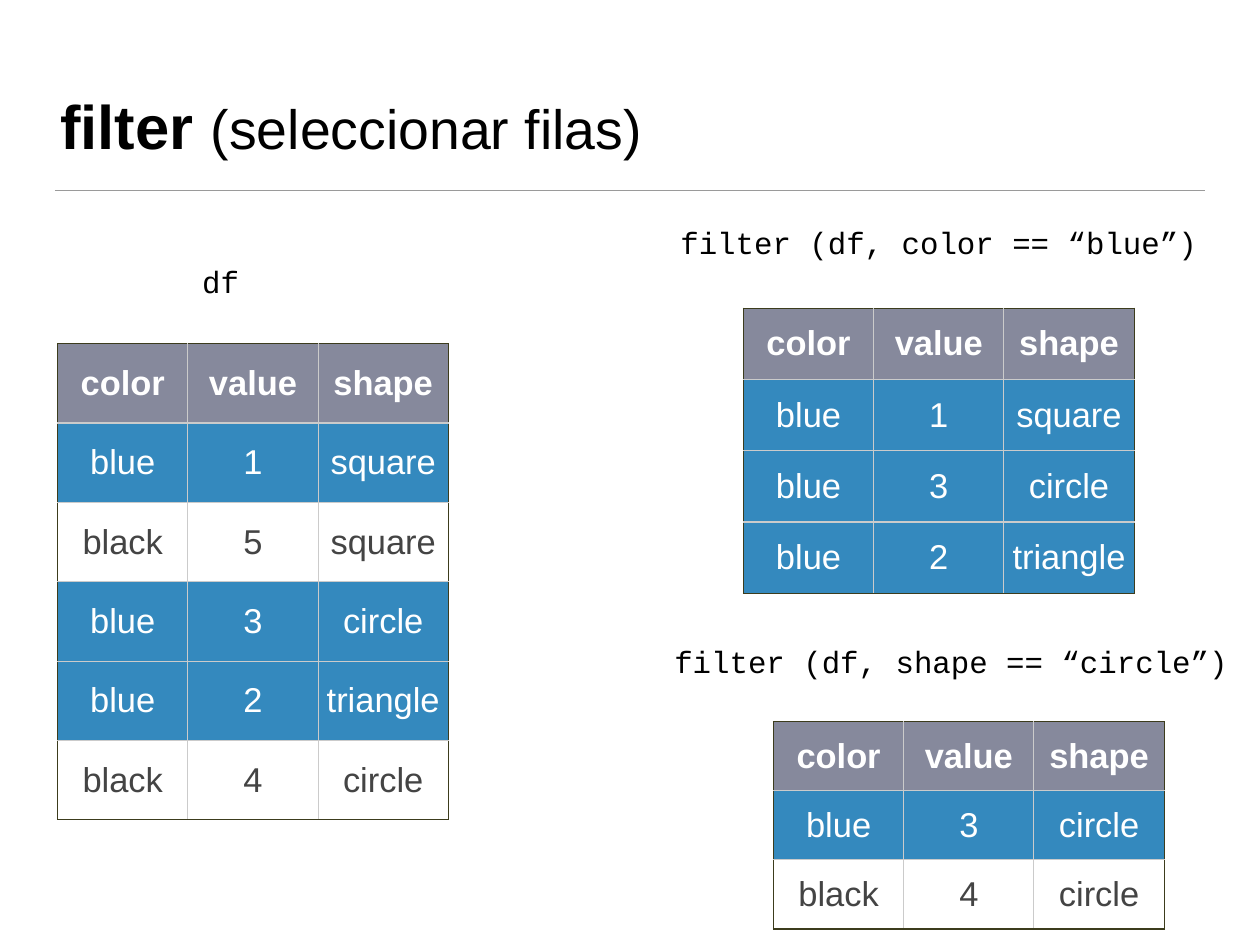
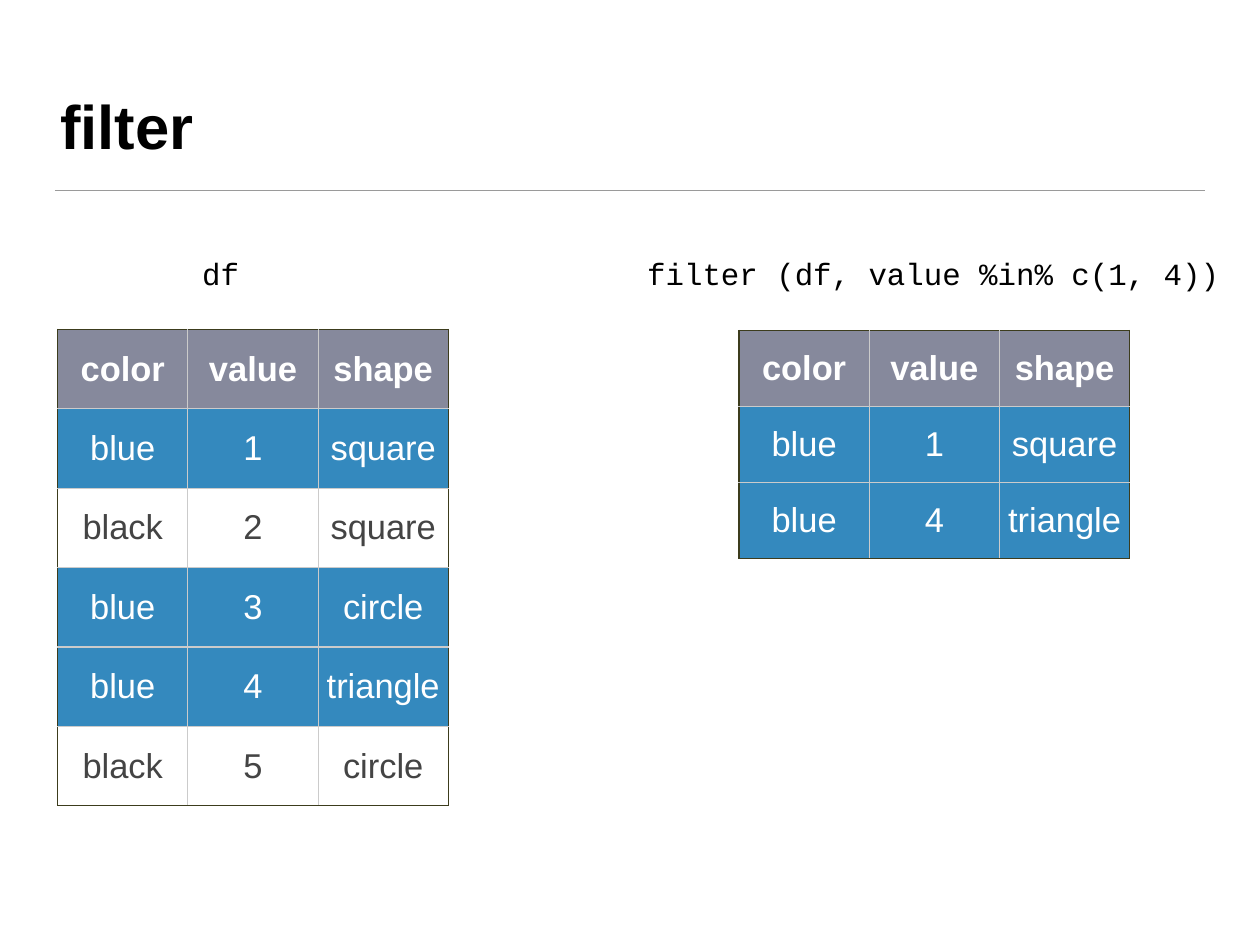
from lxml import etree
from pptx import Presentation
from pptx import util as u
from pptx.dml.color import RGBColor
from pptx.enum import shapes, text
from pptx.oxml.ns import qn

WIDTH, HEIGHT = u.Inches(14.22), u.Inches(10.67)
BLACK, WHITE, GRAY_TEXT = "000000", "FFFFFF", "444444"
HEADER_FILL, BLUE_FILL = "86899C", "3489BE"
RULE, INNER_EDGE, OUTER_EDGE = "9A9A9A", "CBCBCB", "3C3C1D"
SANS, MONO = "Arial", "Courier New"
TITLE_BOX = (4.36, 3.37, 91.28, 14.34)
RULE_Y = 20.15
TABLE_WIDTH, CAPTION_HEIGHT = 31.01, 5.06
HEADER = ("color", "value", "shape")


def rgb(hex_colour):
    """Turn a hex string into a colour."""
    return RGBColor.from_string(hex_colour)


def place(left, top, width, height):
    """Turn percentages of the slide into lengths."""
    return [round(share * side / 100) for share, side in
            zip((left, top, width, height), (WIDTH, HEIGHT) * 2)]


def style_font(font, name, colour, size=None, bold=None):
    """Format a font."""
    font.name, font.bold = name, bold
    font.color.rgb = rgb(colour)
    if size:
        font.size = u.Pt(size)


def set_frame(frame, anchor):
    """Give a text frame the shared margins and an anchor."""
    frame.margin_left = frame.margin_right = u.Inches(0.06)
    frame.margin_top = frame.margin_bottom = u.Inches(0.06)
    frame.vertical_anchor = anchor


def prepare_layout(layout):
    """Set the shared title box on the layout."""
    title = layout.placeholders[0]
    title.left, title.top, title.width, title.height = place(*TITLE_BOX)
    set_frame(title.text_frame, text.MSO_ANCHOR.BOTTOM)
    title.text_frame.auto_size = text.MSO_AUTO_SIZE.NONE


def add_layout_rule(slide):
    """Draw the line below the title and move it to the slide's layout."""
    left, top, width, _ = place(TITLE_BOX[0], RULE_Y, TITLE_BOX[2], 0)
    rule = slide.shapes.add_connector(
        shapes.MSO_CONNECTOR.STRAIGHT, left, top, left + width, top)
    rule.line.color.rgb = rgb(RULE)
    rule.line.width = u.Pt(1)
    etree.SubElement(rule.element.spPr, qn("a:effectLst"))
    slide.slide_layout.element.cSld.spTree.append(rule.element)


def write_title(slide, verb, gloss=""):
    """Write the bold verb and its lighter explanation."""
    paragraph = slide.shapes.title.text_frame.paragraphs[0]
    paragraph.alignment = text.PP_ALIGN.LEFT
    style_font(paragraph.font, SANS, BLACK)
    for words, size, bold in ((verb, 50, True), (gloss, 45, False)):
        if words:
            run = paragraph.add_run()
            run.text = words
            run.font.size, run.font.bold = u.Pt(size), bold


def add_caption(slide, code, left, top, width):
    """Write a line of code above a table."""
    caption = slide.shapes.add_textbox(*place(left, top, width, CAPTION_HEIGHT))
    frame = caption.text_frame
    set_frame(frame, text.MSO_ANCHOR.MIDDLE)
    frame.word_wrap = False
    frame.auto_size = text.MSO_AUTO_SIZE.SHAPE_TO_FIT_TEXT
    paragraph = frame.paragraphs[0]
    paragraph.text = code
    paragraph.alignment = text.PP_ALIGN.CENTER
    style_font(paragraph.font, MONO, BLACK, 25)


def add_edges(cell, outer):
    """Draw the four cell borders, darker on the table's outline."""
    properties = cell._tc.get_or_add_tcPr()
    for side, is_outer in zip("LRTB", outer):
        edge = etree.SubElement(properties, qn(f"a:ln{side}"), w=str(u.Pt(1)))
        fill = etree.SubElement(edge, qn("a:solidFill"))
        etree.SubElement(fill, qn("a:srgbClr"),
                         val=OUTER_EDGE if is_outer else INNER_EDGE)


def add_data(slide, records, left, top, height):
    """Build a data table whose blue records are highlighted."""
    rows = [HEADER, *records]
    last_row, last_column = len(rows) - 1, len(HEADER) - 1
    table = slide.shapes.add_table(
        len(rows), len(HEADER), *place(left, top, TABLE_WIDTH, height)).table
    table.horz_banding = False
    for r, record in enumerate(rows):
        fill = HEADER_FILL if r == 0 else BLUE_FILL if record[0] == "blue" else None
        for c, value in enumerate(record):
            cell = table.cell(r, c)
            add_edges(cell, (c == 0, c == last_column, r == 0, r == last_row))
            if fill:
                cell.fill.solid()
                cell.fill.fore_color.rgb = rgb(fill)
            else:
                cell.fill.background()
            set_frame(cell, text.MSO_ANCHOR.MIDDLE)
            paragraph = cell.text_frame.paragraphs[0]
            paragraph.text = str(value)
            paragraph.alignment = text.PP_ALIGN.CENTER
            style_font(paragraph.font, SANS, WHITE if fill else GRAY_TEXT, 28, r == 0)


def make_records(values):
    """Join the values with the fixed colours and shapes."""
    return list(zip(("blue", "black", "blue", "blue", "black"), values,
                    ("square", "square", "circle", "triangle", "circle")))


def fill_equality_slide(slide):
    """Show filtering by equality."""
    df = make_records((1, 5, 3, 2, 4))
    write_title(slide, "filter ", "(seleccionar filas)")
    add_data(slide, df, 4.57, 36.36, 50.42)
    add_caption(slide, "df", 15.61, 27.18, 3.8)
    add_caption(slide, "filter (df, color == “blue”)", 53.52, 23.15, 41.91)
    add_data(slide, [row for row in df if row[0] == "blue"], 59, 32.61, 30.18)
    add_caption(slide, "filter (df, shape == “circle”)", 53.02, 67.39, 44.87)
    add_data(slide, [row for row in df if row[2] == "circle"], 61.39, 76.38, 21.93)


def fill_membership_slide(slide):
    """Show filtering by membership."""
    df = make_records((1, 2, 3, 4, 5))
    write_title(slide, "filter")
    add_caption(slide, "df", 15.61, 26.43, 3.8)
    add_caption(slide, "filter (df, value %in% c(1, 4))", 50.91, 26.43, 46.27)
    add_data(slide, df, 4.57, 34.86, 50.42)
    add_data(slide, [row for row in df if row[1] in (1, 4)], 58.65, 34.96, 24.18)


def main():
    """Build and save the presentation."""
    deck = Presentation()
    deck.slide_width, deck.slide_height = WIDTH, HEIGHT
    layout = deck.slide_layouts[5]
    prepare_layout(layout)
    equality, membership = (deck.slides.add_slide(layout) for _ in range(2))
    add_layout_rule(equality)
    fill_equality_slide(equality)
    fill_membership_slide(membership)
    deck.save("out.pptx")


if __name__ == "__main__":
    main()
